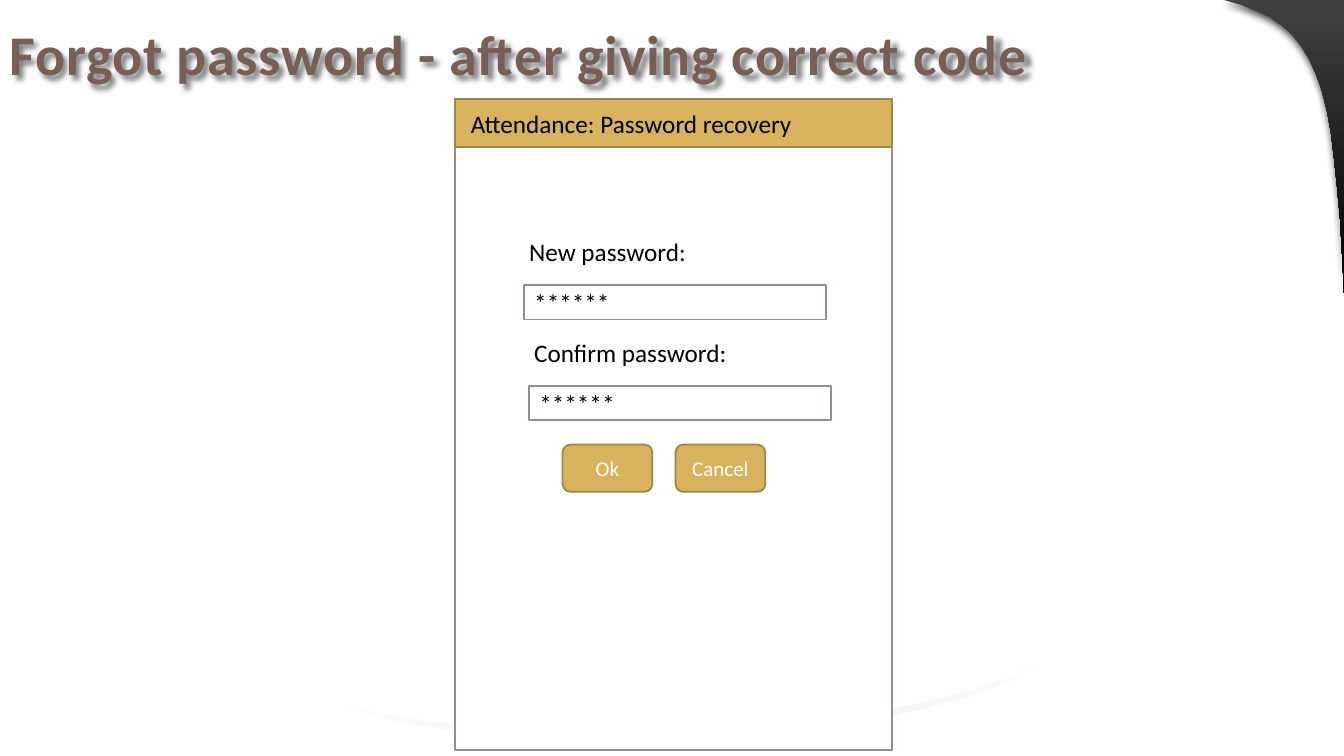
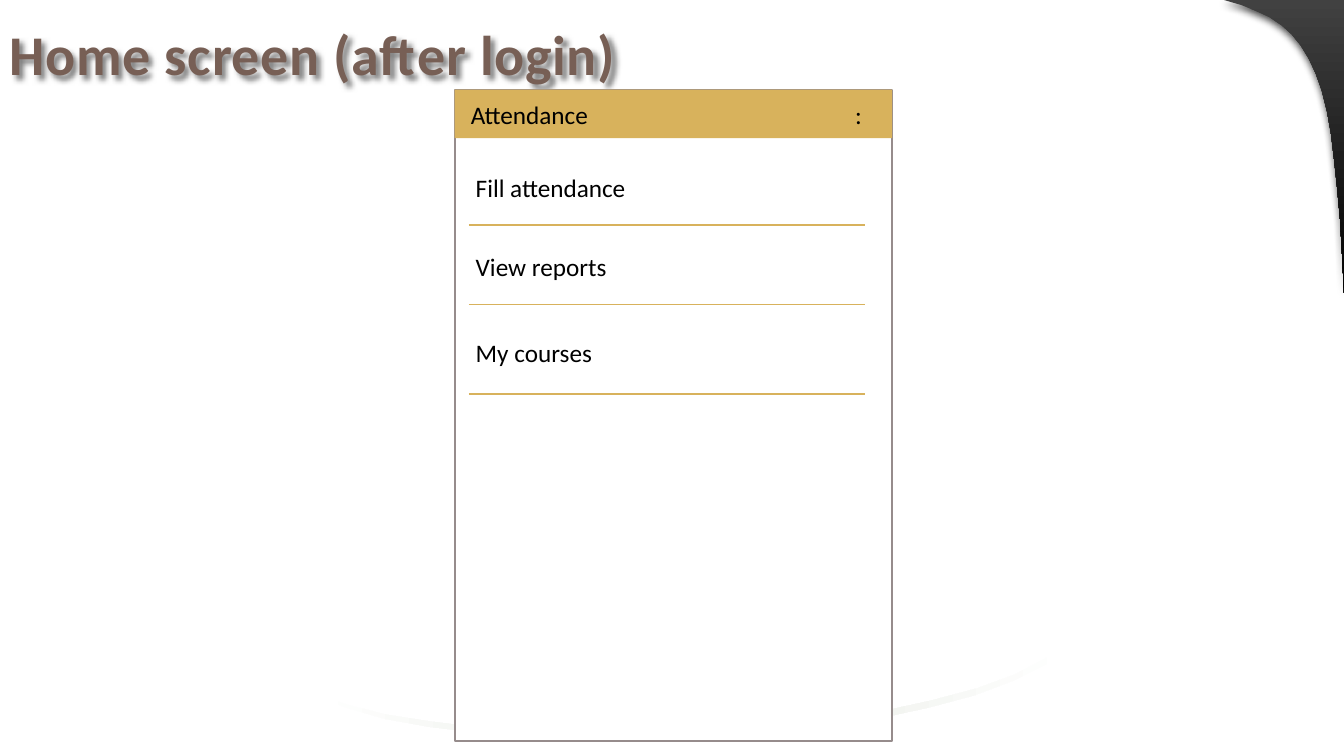
from dataclasses import dataclass
from typing import Optional

from lxml import etree
from pptx import Presentation
from pptx import util as u
from pptx.dml.color import RGBColor
from pptx.enum import shapes, text
from pptx.oxml import ns


@dataclass(frozen=True)
class Theme:
    font: str = "Calibri"
    title: str = "775F55"
    gold: str = "D8B25C"
    edge: str = "A08444"
    gray: str = "968C8C"
    white: str = "FFFFFF"
    black: str = "000000"
    leaf: str = "E5E9E0"
    coal: str = "414141"
    head: int = 40
    body: int = 18
    small: int = 15
    line: float = 1.25


@dataclass(frozen=True)
class Box:
    x: float
    y: float
    w: float
    h: float


@dataclass(frozen=True)
class Look:
    fill: Optional[str] = None
    line: Optional[str] = None
    ink: str = "000000"
    size: int = 18
    mid: bool = False
    inset: float = 0.1
    round: bool = False


@dataclass(frozen=True)
class Row:
    label: str
    box: Box
    rule: float


T = Theme()
PANE = Look(T.white, T.gray)
PLAIN = Look()
ITEM = Look(T.white)
BAR = Look(T.gold, inset=0.16)
EDGED = Look(T.gold, T.edge, inset=0.16)
BUTTON = Look(T.gold, T.edge, T.white, T.small, mid=True, round=True)

LEFT, WIDTH = 4.51, 4.34
TALL, BAND = 6.46, 0.48

SWOOSH = [
    (1062, 633), (1062, 640), (1038, 659), (1006, 675), (966, 690),
    (921, 702), (870, 713), (816, 721), (760, 727), (701, 731),
    (642, 733), (584, 733), (528, 731), (475, 727), (425, 721),
    (381, 713), (343, 702), (312, 690), (312, 688), (344, 699),
    (383, 709), (428, 716), (478, 722), (531, 726), (588, 727),
    (646, 727), (705, 725), (763, 720), (820, 714), (874, 706),
    (924, 695), (969, 683), (1007, 669), (1039, 652),
]
CORNER = [
    (1214, 0), (1333, 0), (1333, 291), (1331, 252), (1329, 217),
    (1326, 185), (1323, 157), (1320, 132), (1316, 110), (1311, 90),
    (1305, 73), (1298, 58), (1290, 45), (1281, 34), (1271, 25),
    (1259, 17), (1246, 11), (1231, 5),
]

ROWS = [
    Row("Fill attendance", Box(4.62, 1.45, 4.14, 0.81), 2.23),
    Row("View reports", Box(4.62, 2.27, 4.14, 0.75), 3.02),
    Row("My courses", Box(4.62, 3.05, 4.14, 0.89), 3.91),
]


def color(code: str) -> RGBColor:
    return RGBColor.from_string(code)


def sub(node, tag: str, **attrs):
    item = etree.SubElement(node, ns.qn(tag))
    for key, val in attrs.items():
        item.set(key, str(val))
    return item


def shade(shape, alpha: int, blur: float, dist: float, angle: int) -> None:
    shape.shadow.inherit = False
    fx = shape._element.spPr.find(ns.qn("a:effectLst"))
    cast = sub(fx, "a:outerShdw", blurRad=u.Pt(blur), dist=u.Pt(dist),
               dir=angle * 60000, algn="tl", rotWithShape=0)
    ink = sub(cast, "a:srgbClr", val=T.black)
    sub(ink, "a:alpha", val=alpha * 1000)


def blend(shape, codes: list[str], angle: int) -> None:
    shape.fill.gradient()
    grad = shape._element.spPr.find(ns.qn("a:gradFill"))
    for node in list(grad):
        grad.remove(node)
    stops = sub(grad, "a:gsLst")
    for i, code in enumerate(codes):
        stop = sub(stops, "a:gs", pos=100000 * i // (len(codes) - 1))
        sub(stop, "a:srgbClr", val=code)
    sub(grad, "a:lin", ang=angle * 60000, scaled=0)


def outline(slide, spots: list[tuple[int, int]], codes: list[str], angle: int):
    pen = slide.shapes.build_freeform(*spots[0], scale=u.Inches(0.01))
    pen.add_line_segments(spots[1:], close=True)
    shape = pen.convert_to_shape()
    shape.shadow.inherit = False
    blend(shape, codes, angle)
    shape.line.fill.background()
    return shape


def write(shape, words: str, look: Look):
    frame = shape.text_frame
    frame.word_wrap = True
    frame.vertical_anchor = text.MSO_ANCHOR.MIDDLE
    frame.margin_left = u.Inches(look.inset)
    par = frame.paragraphs[0]
    par.text = words
    par.alignment = text.PP_ALIGN.CENTER if look.mid else text.PP_ALIGN.LEFT
    par.font.name = T.font
    par.font.size = u.Pt(look.size)
    par.font.color.rgb = color(look.ink)
    return par


def label(slide, box: Box, words: str, look: Look = PLAIN):
    shape = slide.shapes.add_textbox(
        u.Inches(box.x), u.Inches(box.y), u.Inches(box.w), u.Inches(box.h))
    return shape, write(shape, words, look)


def block(slide, box: Box, look: Look, words: str = ""):
    kind = shapes.MSO_SHAPE.ROUNDED_RECTANGLE if look.round else shapes.MSO_SHAPE.RECTANGLE
    shape = slide.shapes.add_shape(
        kind, u.Inches(box.x), u.Inches(box.y), u.Inches(box.w), u.Inches(box.h))
    shape.shadow.inherit = False
    shape.fill.solid()
    shape.fill.fore_color.rgb = color(look.fill)
    if look.line:
        shape.line.color.rgb = color(look.line)
        shape.line.width = u.Pt(T.line)
    else:
        shape.line.fill.background()
    return write(shape, words, look) if words else None


def rule(slide, x: float, y: float, end: float) -> None:
    line = slide.shapes.add_connector(
        shapes.MSO_CONNECTOR.STRAIGHT,
        u.Inches(x), u.Inches(y), u.Inches(end), u.Inches(y))
    line.line.color.rgb = color(T.gold)
    line.line.width = u.Pt(T.line)
    sub(line._element.spPr, "a:effectLst")


def page(deck, title: str):
    slide = deck.slides.add_slide(deck.slide_layouts[6])
    outline(slide, SWOOSH, [T.white, T.leaf, T.white], 0)
    corner = outline(slide, CORNER, [T.coal, T.black], 90)
    shade(corner, 75, 6, 3, 90)
    shape, par = label(slide, Box(0, 0, 11.32, 1.06), title,
                       Look(ink=T.title, size=T.head))
    par.font.bold = True
    par.runs[0]._r.get_or_add_rPr().set("spc", "50")
    shade(shape, 50, 4, 3, 45)
    return slide


def recover(deck) -> None:
    slide = page(deck, "Forgot password - after giving correct code")
    block(slide, Box(LEFT, 0.98, WIDTH, TALL), PANE)
    block(slide, Box(LEFT, 0.98, WIDTH, BAND), EDGED,
          "Attendance: Password recovery")
    for i, name in enumerate(["New password:", "Confirm password:"]):
        x, y = 5.15 + 0.05 * i, 2.22 + i
        label(slide, Box(x, y, 3.44, 0.55), name)
        block(slide, Box(x + 0.05, y + 0.61, 2.99, 0.34), PANE, "******")
    for i, name in enumerate(["Ok", "Cancel"]):
        block(slide, Box(5.58 + 1.12 * i, 4.41, 0.89, 0.47), BUTTON, name)


def home(deck) -> None:
    slide = page(deck, "Home screen (after login)")
    block(slide, Box(LEFT, 0.89, WIDTH, TALL), PANE)
    par = block(slide, Box(LEFT, 0.89, WIDTH, BAND), BAR, "Attendance\t:")
    tabs = etree.Element(ns.qn("a:tabLst"))
    sub(tabs, "a:tab", pos=u.Inches(3.88), algn="r")
    par._p.get_or_add_pPr().insert(0, tabs)
    for row in ROWS:
        block(slide, row.box, ITEM, row.label)
    for row in ROWS:
        rule(slide, 4.65, row.rule, 8.58)


def main() -> None:
    deck = Presentation()
    deck.slide_width = u.Inches(13.33)
    deck.slide_height = u.Inches(7.5)
    recover(deck)
    home(deck)
    deck.save("out.pptx")


if __name__ == "__main__":
    main()
